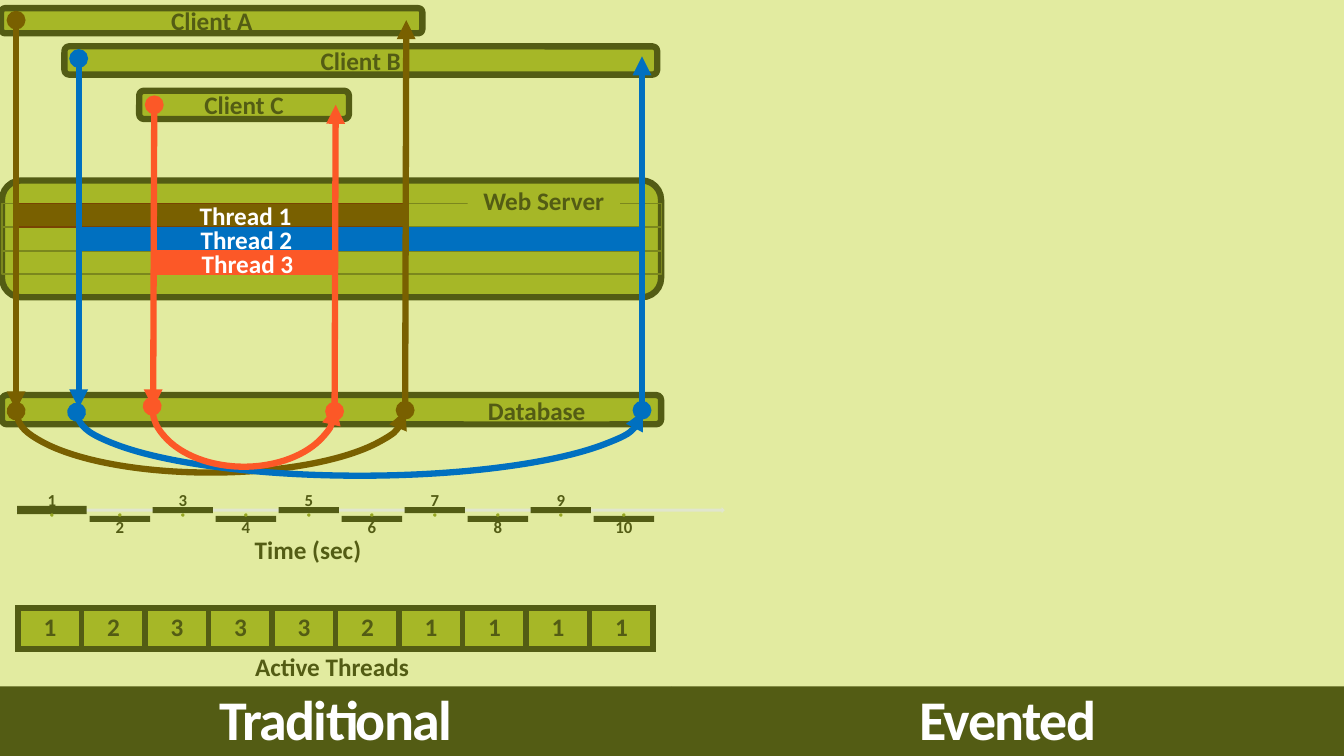
from dataclasses import dataclass
from typing import Any
from pptx import Presentation
from pptx.dml.color import RGBColor
from pptx.enum.shapes import MSO_CONNECTOR as Link, MSO_SHAPE as Kind
from pptx.enum.text import MSO_ANCHOR as Anchor, MSO_AUTO_SIZE as Fit, PP_ALIGN as Align
from pptx.oxml.ns import qn
from pptx.util import Pt
from lxml.etree import SubElement as Sub

PALE = RGBColor(0xE2, 0xEB, 0xA0)
GREEN = RGBColor(0xA6, 0xB7, 0x27)
DARK = RGBColor(0x53, 0x5C, 0x14)
LANE = RGBColor(0x7B, 0x87, 0x1D)
DOT = RGBColor(0x97, 0xA6, 0x23)
AXIS = RGBColor(0xE1, 0xE6, 0xCD)
BROWN = RGBColor(0x79, 0x60, 0x00)
EDGE = RGBColor(0x78, 0x43, 0x03)
BLUE = RGBColor(0x00, 0x70, 0xC0)
RED = RGBColor(0xFC, 0x58, 0x27)
WHITE = RGBColor(0xFF, 0xFF, 0xFF)


@dataclass
class Board:
    slide: Any
    font: str = "Calibri"
    size: float = 18
    thick: float = 4.5

    def add_run(self, para, text, color=DARK, size=None):
        para.alignment = Align.CENTER
        run = para.add_run()
        run.text = text
        font = run.font
        font.name, font.size, font.bold = self.font, Pt(size or self.size), True
        font.color.rgb = color
        return run

    def words(self, frame, text, color=DARK, size=None, tight=None, anchor=Anchor.MIDDLE):
        frame.word_wrap = True
        frame.auto_size = Fit.NONE
        frame.vertical_anchor = anchor
        para = frame.paragraphs[0]
        para.space_before = Pt(0)
        if tight:
            para.line_spacing = tight
        return self.add_run(para, text, color, size)

    def head(self, holder, text, left):
        holder.left, holder.top, holder.width, holder.height = map(Pt, (left, 490.3, 480, 51.8))
        holder.fill.solid()
        holder.fill.fore_color.rgb = DARK
        run = self.words(holder.text_frame, text, WHITE, 40, 0.9)
        run.font._element.set("spc", "-120")

    def shape(self, kind, box, fill=None, line=None, width=1):
        item = self.slide.shapes.add_shape(kind, *map(Pt, box))
        item.shadow.inherit = False
        if fill is None:
            item.fill.background()
        else:
            item.fill.solid()
            item.fill.fore_color.rgb = fill
        if line is None:
            item.line.fill.background()
        else:
            item.line.color.rgb = line
            item.line.width = Pt(width)
        return item

    def bar(self, box, text=None):
        item = self.shape(Kind.ROUNDED_RECTANGLE, box, GREEN, DARK, self.thick)
        if text:
            self.words(item.text_frame, text)

    def label(self, box, text, fill=None, color=DARK):
        item = self.shape(Kind.ROUNDED_RECTANGLE, box, fill)
        self.words(item.text_frame, text, color)

    def ends(self, item, start, end):
        ln = item.get_or_add_ln()
        Sub(ln, qn("a:headEnd"), type=start)
        Sub(ln, qn("a:tailEnd"), type=end)

    def arc(self, box, color):
        item = self.shape(Kind.ARC, box, None, color, self.thick)
        item.adjustments[0], item.adjustments[1] = 215.996, 108.114
        item._element.spPr.xfrm.set("flipH", "1")
        self.ends(item, "oval", "triangle")

    def arrow(self, start, end, color, down):
        item = self.slide.shapes.add_connector(Link.STRAIGHT, *map(Pt, start + end))
        item.line.color.rgb = color
        item.line.width = Pt(self.thick)
        self.ends(item, *(("triangle", "oval") if down else ("oval", "triangle")))
        Sub(item._element.spPr, qn("a:effectLst"))

    def tick(self, num, box):
        left, top, wide, high = box
        self.shape(Kind.RECTANGLE, box, DARK)
        frame = self.slide.shapes.add_textbox(*map(Pt, box)).text_frame
        frame.margin_left = frame.margin_right = Pt(6.5)
        frame.margin_top = frame.margin_bottom = Pt(6.5)
        self.words(frame, str(num), size=12, tight=0.9,
                   anchor=Anchor.BOTTOM if num % 2 else Anchor.TOP)
        self.shape(Kind.OVAL, (left + wide / 2 - 0.7, 367.2, 1.4, 1.4), WHITE, DOT)

    def table(self, box, row):
        grid = self.slide.shapes.add_table(1, len(row), *map(Pt, box)).table
        grid.first_row = grid.horz_banding = False
        for col, num in enumerate(row):
            grid.columns[col].width = Pt(box[2] / len(row))
            cell = grid.cell(0, col)
            self.add_run(cell.text_frame.paragraphs[0], str(num))
            props = cell._tc.get_or_add_tcPr()
            for side in ("lnL", "lnR", "lnT", "lnB"):
                edge = Sub(props, qn("a:" + side), w=str(Pt(self.thick)))
                Sub(Sub(edge, qn("a:solidFill")), qn("a:srgbClr"), val=str(DARK))
            cell.fill.solid()
            cell.fill.fore_color.rgb = GREEN


deck = Presentation()
deck.slide_width, deck.slide_height = Pt(960), Pt(540)
slide = deck.slides.add_slide(deck.slide_layouts[4])
slide.background.fill.solid()
slide.background.fill.fore_color.rgb = PALE
board = Board(slide)

board.head(slide.shapes.title, "Traditional", 0)
board.head(slide.placeholders[1], "Evented", 480)
for holder in list(slide.placeholders):
    if not holder.text_frame.text:
        holder._element.getparent().remove(holder._element)

for name, box in (("Client A", (0.7, 5.8, 301, 18)),
                  ("Client B", (46, 33.1, 423.4, 20.2)),
                  ("Client C", (99.4, 64.8, 149.8, 20.2))):
    board.bar(box, name)

board.bar((1.4, 128.9, 470.9, 83.5))
for lane in range(3):
    board.shape(Kind.RECTANGLE, (1.6, 145.5 + 16.85 * lane, 470.9, 16.6), None, LANE)
board.bar((1.4, 282.2, 470.9, 20.9))
board.table((13, 434.2, 453.6, 28.8), (1, 2, 3, 3, 3, 2, 1, 1, 1, 1))

for box, fill, line in (((11.5, 145.5, 278, 16.6), BROWN, EDGE),
                        ((56.2, 162.7, 404, 15.8), BLUE, BLUE),
                        ((110.2, 179.3, 129.6, 16.6), RED, RED)):
    board.shape(Kind.RECTANGLE, box, fill, line)

for color, box, down, up in (
        (BROWN, (11.5, 249.8, 278, 87.8),
         ((11.5, 293), (11.5, 14.4)), ((289.4, 293), (290.2, 14.4))),
        (BLUE, (54.7, 249.1, 404.6, 90.7),
         ((56.2, 291.6), (56.2, 41.8)), ((458.6, 293), (458.6, 40.3))),
        (RED, (108.7, 247, 131, 86.4),
         ((109.4, 291.6), (110.2, 74.9)), ((239, 293.8), (239.8, 74.9)))):
    board.arc(box, color)
    board.arrow(*down, color, True)
    board.arrow(*up, color, False)

board.label((334.1, 135.4, 108.7, 15.8), "Web Server", GREEN)
board.label((329, 285.1, 108.7, 15.8), "Database", GREEN)
board.label((156.2, 463, 162, 26.6), "Active Threads")
for lane in range(3):
    board.label((121 + 0.7 * lane, 146.2 + 16.9 * lane, 108.7, 15.8),
                f"Thread {lane + 1}", color=WHITE)

board.shape(Kind.NOTCHED_RIGHT_ARROW, (11.5, 362.2, 506.2, 4.3), AXIS)
board.tick(1, (12.2, 361.4, 49.7, 5.8))
for num in range(2, 11):
    board.tick(num, (64 + 45 * (num - 2), 362.2 if num % 2 else 368.6, 43.2, 4.3))
board.label((139, 379.4, 162, 26.6), "Time (sec)")

deck.save("out.pptx")
